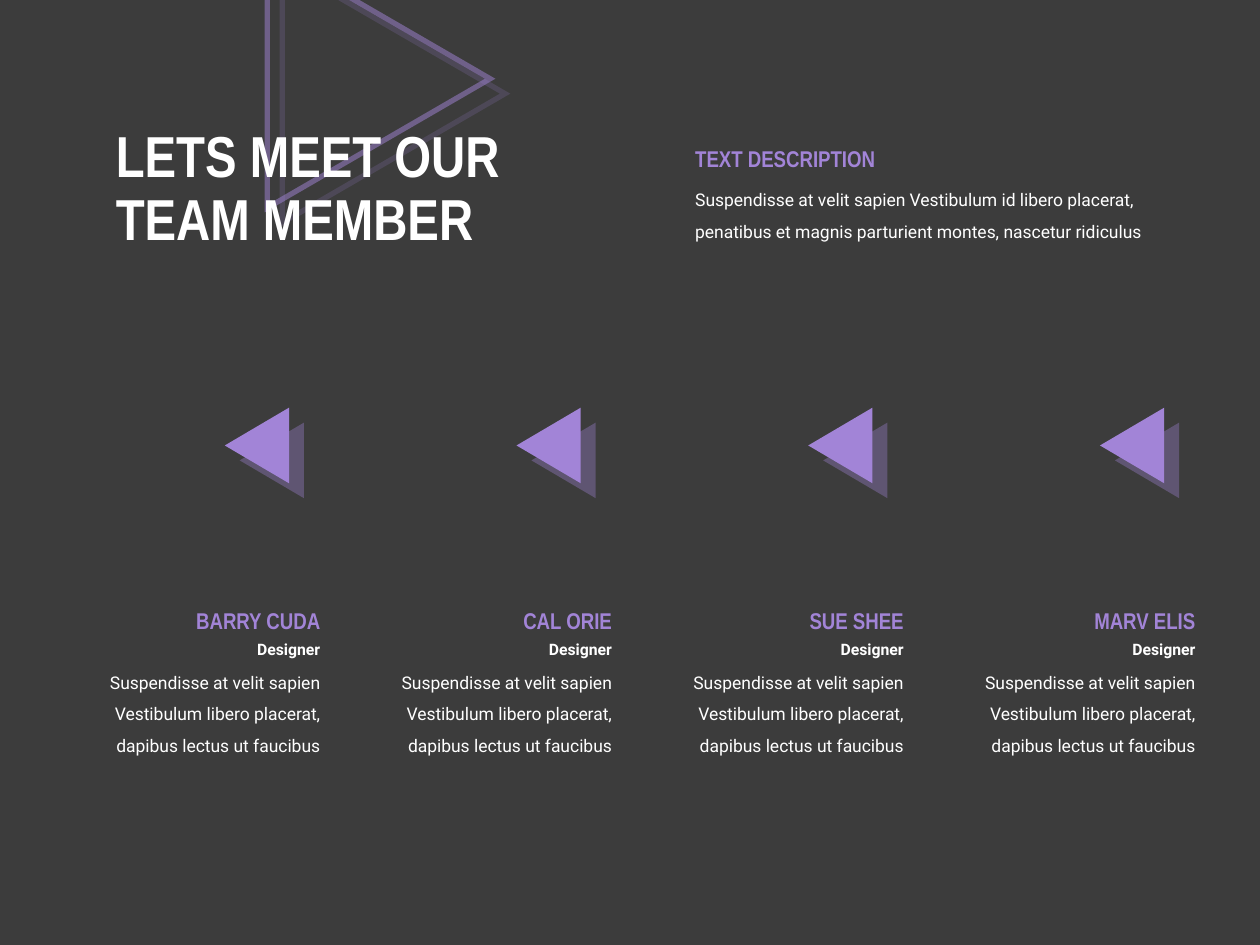
"""Build a team slide with four member columns."""
import pptx
import pptx.dml.color
import pptx.enum.shapes
import pptx.enum.text
import pptx.oxml
import pptx.oxml.ns
import pptx.util

Pt = pptx.util.Pt
RGB = pptx.dml.color.RGBColor
Align = pptx.enum.text.PP_ALIGN
Fit = pptx.enum.text.MSO_AUTO_SIZE

DARK = RGB(0x3C, 0x3C, 0x3C)
WHITE = RGB(0xFF, 0xFF, 0xFF)
LILAC = RGB(0xA2, 0x84, 0xD7)
HEAD = "Arial Narrow"
BODY = "Roboto"
PITCH = 166.7
TEAM = ["BARRY CUDA", "CAL ORIE", "SUE SHEE", "MARV ELIS"]
ROLE = "Designer"
BIO = "Suspendisse at velit sapien Vestibulum libero placerat, dapibus lectus ut faucibus"
ABOUT = ("Suspendisse at velit sapien Vestibulum id libero placerat, "
         "penatibus et magnis parturient montes, nascetur ridiculus")


def add_run(para, text, size, font, color, bold):
    run = para.add_run()
    run.text = text
    run.font.size = Pt(size)
    run.font.name = font
    run.font.bold = bold
    run.font.color.rgb = color


def add_text(slide, box, text, size, font, color, bold=False,
             align=Align.LEFT, space=1.0):
    frame = slide.shapes.add_textbox(*map(Pt, box)).text_frame
    frame.word_wrap = True
    frame.auto_size = Fit.SHAPE_TO_FIT_TEXT
    para = frame.paragraphs[0]
    para.alignment = align
    para.line_spacing = space
    add_run(para, text, size, font, color, bold)


def add_xml(parent, tag, body=""):
    space = pptx.oxml.ns.nsdecls("a")
    parent.append(pptx.oxml.parse_xml(f"<a:{tag} {space}>{body}</a:{tag.split()[0]}>"))


def add_title(slide, box, lines):
    title = slide.shapes.title
    title.left, title.top, title.width, title.height = map(Pt, box)
    frame = title.text_frame
    frame.word_wrap = True
    frame.auto_size = Fit.NONE
    frame.vertical_anchor = pptx.enum.text.MSO_ANCHOR.MIDDLE
    para = frame.paragraphs[0]
    para.alignment = Align.LEFT
    para.line_spacing = 0.9
    for i, line in enumerate(lines):
        if i:
            para.add_line_break()
        add_run(para, line, 33, HEAD, WHITE, True)


def add_arrow(slide, box, turn, solid):
    kind = pptx.enum.shapes.MSO_SHAPE.ISOSCELES_TRIANGLE
    shape = slide.shapes.add_shape(kind, *map(Pt, box))
    shape.rotation = turn
    if solid:
        shape.fill.solid()
        shape.fill.fore_color.rgb = LILAC
        shape.line.fill.background()
    else:
        shape.fill.background()
        shape.line.width = Pt(3)
        shape.line.color.rgb = LILAC
        line = shape.line._get_or_add_ln()
        add_xml(line.find(".//" + pptx.oxml.ns.qn("a:srgbClr")), 'alpha val="50000"')
        add_xml(line, 'miter lim="800000"')
    shape.shadow.inherit = False
    effects = shape._element.spPr.find(pptx.oxml.ns.qn("a:effectLst"))
    add_xml(effects,
            f'outerShdw blurRad="0" dist="{Pt(12.1)}" dir="2700000" algn="tl" rotWithShape="0"',
            f'<a:srgbClr val="{LILAC}"><a:alpha val="35000"/></a:srgbClr>')


def add_member(slide, name, shift):
    right = 190 + shift
    add_text(slide, (right - 153.4, 374.4, 153.4, 61.2), BIO, 10, BODY, WHITE,
             align=Align.RIGHT, space=1.5)
    add_text(slide, (right - 100, 343.4, 100, 23), name, 13, HEAD, LILAC, True, Align.RIGHT)
    add_text(slide, (right - 56.2, 362.2, 56.2, 18), ROLE, 9, BODY, WHITE, True, Align.RIGHT)
    add_arrow(slide, (125.2 + shift, 236.2, 43.2, 36.7), 270, True)


def main():
    deck = pptx.Presentation()
    deck.slide_width, deck.slide_height = Pt(720), Pt(540)
    slide = deck.slides.add_slide(deck.slide_layouts.get_by_name("Title Only"))
    slide.background.fill.solid()
    slide.background.fill.fore_color.rgb = DARK
    add_arrow(slide, (142.6, -18.7, 147.6, 127.4), 90, False)
    add_title(slide, (59, 51.8, 303.8, 113.8), ["LETS MEET OUR", "TEAM MEMBER"])
    tree = slide.shapes._spTree
    tree.append(slide.shapes.title._element)
    for i, name in enumerate(TEAM):
        add_member(slide, name, i * PITCH)
    add_text(slide, (390.2, 98.6, 299.5, 43.2), ABOUT, 10, BODY, WHITE, space=1.5)
    add_text(slide, (390.2, 79.2, 132.5, 38.9), "TEXT DESCRIPTION", 13, HEAD, LILAC, True)
    deck.save("out.pptx")


if __name__ == "__main__":
    main()
